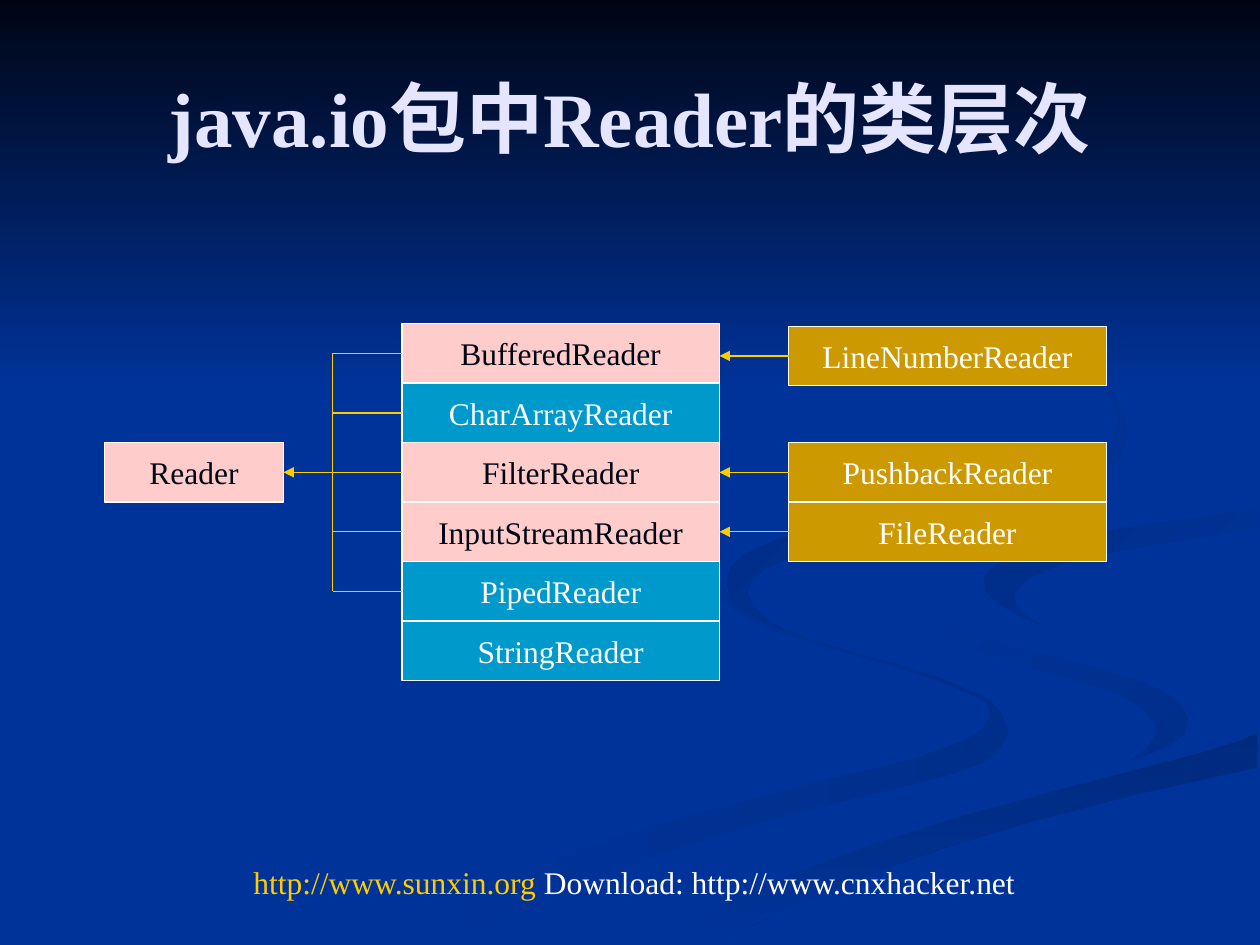
from lxml import etree
from pptx import Presentation
from pptx.dml.color import RGBColor
from pptx.enum import shapes, text
from pptx.oxml.ns import qn
from pptx.util import Inches, Pt

NAVY = RGBColor(0x00, 0x05, 0x14)
BLUE = RGBColor(0x00, 0x33, 0x99)
LAVENDER = RGBColor(0xE5, 0xE5, 0xFF)
PINK = RGBColor(0xFF, 0xCC, 0xCC)
CYAN = RGBColor(0x00, 0x99, 0xCC)
GOLD = RGBColor(0xCC, 0x99, 0x00)
YELLOW = RGBColor(0xFF, 0xCC, 0x00)
WHITE = RGBColor(0xFF, 0xFF, 0xFF)
SHADE_LONG = RGBColor(0x00, 0x2E, 0x8B)
SHADE_BAND = RGBColor(0x00, 0x2A, 0x7D)
SHADE_EDGE = RGBColor(0x00, 0x2D, 0x86)
SHADE_TOP = RGBColor(0x00, 0x2B, 0x82)

ROW_TOP, ROW_PITCH, ROW_HEIGHT = 2.57, 0.472, 0.47
BASE_LEFT, CHILD_LEFT, GRANDCHILD_LEFT = 0.83, 3.19, 6.26
BASE_WIDTH, CLASS_WIDTH = 1.42, 2.52
TRUNK_X = 2.64
BASE_ROW = 2

CHILDREN = [
    ("BufferedReader", PINK, NAVY),
    ("CharArrayReader", CYAN, WHITE),
    ("FilterReader", PINK, NAVY),
    ("InputStreamReader", PINK, NAVY),
    ("PipedReader", CYAN, WHITE),
    ("StringReader", CYAN, WHITE),
]
GRANDCHILDREN = [("LineNumberReader", 0, 0.02), ("PushbackReader", 2, 0), ("FileReader", 3, 0)]

LONG_SWIRL = [
    (781, 553), (767, 547), (745, 538), (715, 528), (682, 519), (642, 507),
    (614, 496), (594, 485), (583, 477), (576, 469), (574, 464), (575, 459),
    (570, 468), (572, 476), (581, 483), (593, 491), (611, 499), (654, 513),
    (697, 525), (728, 535), (752, 543), (770, 551), (781, 556), (785, 562),
    (785, 570), (780, 579), (767, 587), (749, 594), (727, 602), (699, 609),
    (652, 620), (579, 639), (499, 661), (417, 690), (338, 727), (300, 749),
    (361, 749), (431, 714), (499, 687), (564, 665), (623, 647), (676, 634),
    (721, 623), (756, 614), (780, 605), (791, 597), (797, 588), (800, 581),
    (795, 567), (786, 556),
]
SHORT_SWIRL = [
    (943, 570), (939, 562), (930, 553), (905, 540), (870, 530), (830, 519),
    (792, 509), (758, 498), (733, 483), (727, 474), (724, 464), (725, 474),
    (733, 488), (746, 500), (766, 512), (797, 524), (838, 536), (868, 544),
    (892, 553), (907, 562), (915, 571), (918, 581), (914, 589), (907, 597),
    (894, 605), (916, 597), (932, 589), (941, 581),
]
LOWER_BAND = [
    (519, 747), (503, 749), (571, 749), (587, 740), (614, 726), (649, 710),
    (695, 692), (752, 672), (821, 651), (903, 630), (998, 609), (998, 581),
    (985, 587), (963, 594), (936, 602), (903, 610), (831, 629), (764, 647),
    (696, 669), (630, 693), (569, 719),
]
CLEAR_BAND = [
    (725, 464), (728, 474), (734, 483), (759, 498), (793, 509), (831, 519),
    (871, 530), (905, 540), (931, 553), (939, 562), (943, 570), (940, 583),
    (931, 590), (911, 600), (881, 608), (843, 618), (780, 634), (704, 655),
    (619, 684), (526, 724), (477, 749), (503, 749), (519, 747), (570, 719),
    (630, 693), (696, 669), (765, 647), (832, 629), (904, 610), (951, 598),
    (986, 587), (999, 581), (999, 538), (974, 534), (941, 527), (904, 519),
    (848, 503), (817, 492), (794, 480), (784, 469), (781, 463), (786, 453),
    (800, 442), (822, 434), (850, 427), (899, 418), (968, 409), (999, 402),
    (999, 387), (962, 395), (920, 401), (851, 411), (788, 422), (755, 432),
    (732, 446), (727, 454),
]
RIGHT_EDGE = [
    (781, 460), (782, 469), (791, 478), (806, 487), (826, 496), (812, 487),
    (806, 480), (805, 472), (809, 466), (816, 459), (843, 448), (878, 439),
    (936, 429), (971, 423), (998, 420), (998, 402), (967, 409), (898, 418),
    (849, 427), (821, 433), (799, 442), (785, 453),
]
TOP_SWIRL = [
    (683, 430), (739, 421), (786, 412), (825, 402), (855, 391), (876, 378),
    (889, 362), (894, 344), (890, 324), (880, 307), (864, 291), (843, 275),
    (810, 256), (780, 241), (762, 233), (805, 254), (846, 279), (870, 299),
    (885, 320), (889, 335), (882, 354), (870, 365), (852, 374), (818, 386),
    (763, 398), (704, 409), (649, 420), (615, 429), (589, 441), (580, 451),
    (577, 462), (580, 474), (590, 484), (604, 492), (622, 500), (607, 490),
    (597, 480), (593, 470), (596, 461), (606, 452), (624, 444), (649, 436),
]
SKY = [(0, 0), (0, 308), (1000, 308), (1000, 0)]

BACKDROP = [
    (LONG_SWIRL, BLUE, SHADE_LONG, 0),
    (SHORT_SWIRL, BLUE, SHADE_LONG, 45),
    (LOWER_BAND, SHADE_BAND, BLUE, 90),
    (CLEAR_BAND, BLUE, BLUE, 0),
    (RIGHT_EDGE, SHADE_EDGE, BLUE, 45),
    (TOP_SWIRL, SHADE_TOP, BLUE, 45),
    (SKY, NAVY, BLUE, 90),
]


def row_top(row):
    return ROW_TOP + row * ROW_PITCH


def row_middle(row):
    return row_top(row) + ROW_HEIGHT / 2


def add_text(paragraph, wording, color=WHITE, size=18, bold=False):
    paragraph.alignment = text.PP_ALIGN.CENTER
    run = paragraph.add_run()
    run.text = wording
    run.font.name = "Times New Roman"
    run.font.size = Pt(size)
    run.font.bold = bold
    run.font.color.rgb = color


def add_swirl(slide, points, start, end, clockwise):
    builder = slide.shapes.build_freeform(*points[0], scale=Inches(0.01))
    builder.add_line_segments(points[1:], close=True)
    swirl = builder.convert_to_shape()
    swirl.shadow.inherit = False
    swirl.line.fill.background()
    if start == end:
        swirl.fill.solid()
        swirl.fill.fore_color.rgb = start
        return
    swirl.fill.gradient()
    swirl.fill.gradient_angle = -clockwise % 360
    for stop, color in zip(swirl.fill.gradient_stops, (start, end)):
        stop.color.rgb = color


def add_class(slide, name, left, top, width, fill, color):
    box = slide.shapes.add_shape(shapes.MSO_SHAPE.RECTANGLE, Inches(left), Inches(top),
                                 Inches(width), Inches(ROW_HEIGHT))
    box.shadow.inherit = False
    box.fill.solid()
    box.fill.fore_color.rgb = fill
    box.line.color.rgb = WHITE
    box.line.width = Pt(0.75)
    box.text_frame.word_wrap = False
    box.text_frame.vertical_anchor = text.MSO_ANCHOR.MIDDLE
    add_text(box.text_frame.paragraphs[0], name, color=color)


def add_link(slide, x1, y1, x2, y2, arrow=False):
    link = slide.shapes.add_connector(shapes.MSO_CONNECTOR.STRAIGHT, Inches(x1), Inches(y1),
                                      Inches(x2), Inches(y2))
    link.line.color.rgb = YELLOW
    link.line.width = Pt(0.75)
    properties = link.element.spPr
    if arrow:
        etree.SubElement(properties.find(qn("a:ln")), qn("a:headEnd"), type="triangle")
    etree.SubElement(properties, qn("a:effectLst"))


def add_title(slide, wording):
    title = slide.shapes.title
    title.left, title.top = Inches(0.5), Inches(0.3)
    title.width, title.height = Inches(9), Inches(1.25)
    title.text_frame.vertical_anchor = text.MSO_ANCHOR.MIDDLE
    add_text(title.text_frame.paragraphs[0], wording, color=LAVENDER, size=44, bold=True)
    title.element.getparent().append(title.element)


def add_hierarchy(slide):
    add_class(slide, "Reader", BASE_LEFT, row_top(BASE_ROW), BASE_WIDTH, PINK, NAVY)
    for row, (name, fill, color) in enumerate(CHILDREN):
        add_class(slide, name, CHILD_LEFT, row_top(row), CLASS_WIDTH, fill, color)
    for row in range(5):
        add_link(slide, TRUNK_X, row_middle(row), CHILD_LEFT, row_middle(row))
    add_link(slide, TRUNK_X, row_middle(4), TRUNK_X, row_middle(0))
    add_link(slide, BASE_LEFT + BASE_WIDTH, row_middle(BASE_ROW),
             TRUNK_X, row_middle(BASE_ROW), arrow=True)
    for name, row, drop in GRANDCHILDREN:
        add_class(slide, name, GRANDCHILD_LEFT, row_top(row) + drop, CLASS_WIDTH, GOLD, WHITE)
        middle = row_middle(row) + drop
        add_link(slide, CHILD_LEFT + CLASS_WIDTH, middle, GRANDCHILD_LEFT, middle, arrow=True)


def add_footer(slide):
    footer = slide.shapes.add_textbox(Inches(1.77), Inches(6.8), Inches(6.53), Inches(0.7))
    footer.text_frame.word_wrap = True
    line = footer.text_frame.paragraphs[0]
    add_text(line, "http://www.sunxin.org", color=YELLOW)
    add_text(line, " Download: http://www.cnxhacker.net")


def main():
    deck = Presentation()
    deck.slide_width, deck.slide_height = Inches(10), Inches(7.5)
    slide = deck.slides.add_slide(deck.slide_layouts[5])
    slide.background.fill.solid()
    slide.background.fill.fore_color.rgb = BLUE
    for points, start, end, clockwise in BACKDROP:
        add_swirl(slide, points, start, end, clockwise)
    add_title(slide, "java.io包中Reader的类层次")
    add_hierarchy(slide)
    add_footer(slide)
    deck.save("out.pptx")


if __name__ == "__main__":
    main()
